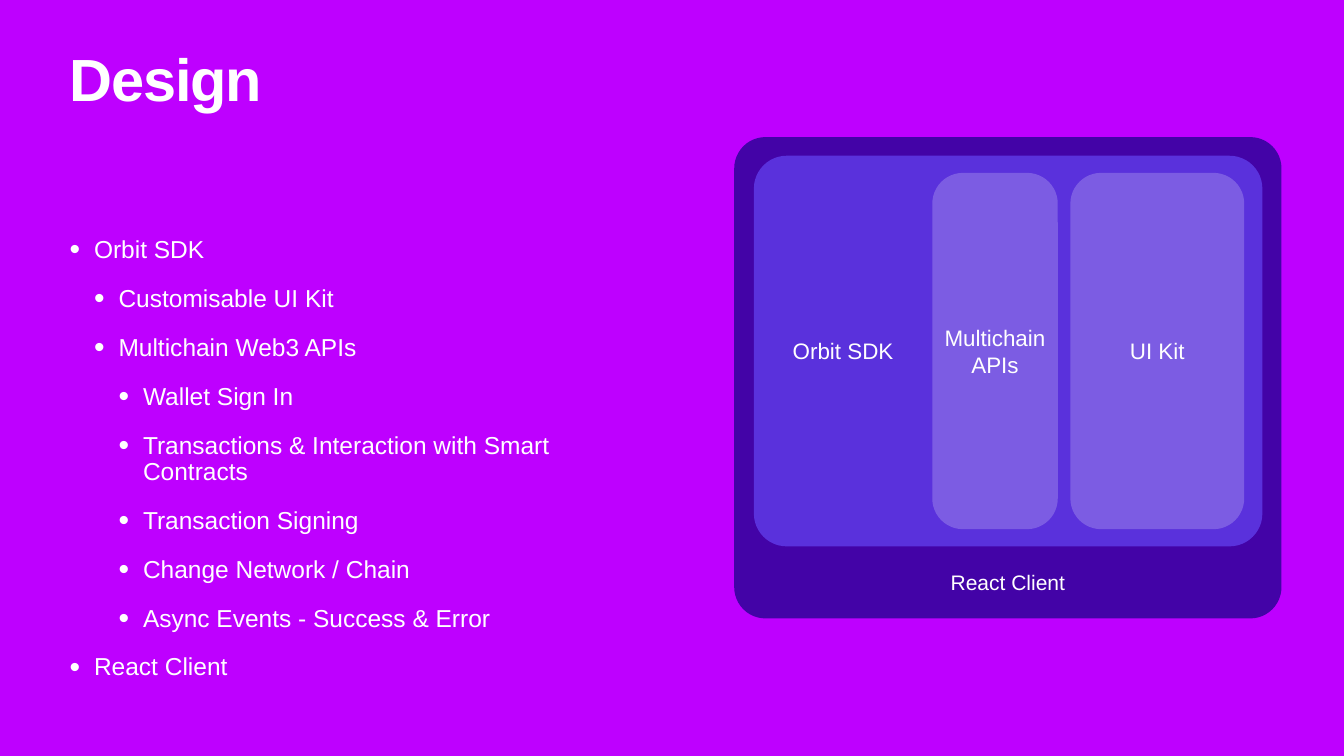
from dataclasses import dataclass

from lxml.etree import SubElement
from pptx import Presentation
from pptx.dml.color import RGBColor
from pptx.enum.shapes import MSO_SHAPE
from pptx.enum.text import MSO_ANCHOR, MSO_AUTO_SIZE, PP_ALIGN
from pptx.oxml.ns import qn
from pptx.util import Inches, Pt

COLORS = {
    "background": "BE00FF",
    "client": "4303A7",
    "sdk": "5A31DC",
    "white": "FFFFFF",
}
FONT = "Arial"
INSET = 0.06
INDENT = 0.486


@dataclass
class Box:
    left: float
    top: float
    width: float
    height: float

    def lengths(self) -> list:
        return [Inches(v) for v in (self.left, self.top, self.width, self.height)]


@dataclass
class Panel:
    box: Box
    color: str
    radius: float
    opacity: int = 100
    lines: tuple = ()


@dataclass
class Label:
    box: Box
    text: str
    size: int


BULLETS = [
    (0, "Orbit SDK"),
    (1, "Customisable UI Kit"),
    (1, "Multichain Web3 APIs"),
    (2, "Wallet Sign In"),
    (2, "Transactions & Interaction with Smart Contracts"),
    (2, "Transaction Signing"),
    (2, "Change Network / Chain"),
    (2, "Async Events - Success & Error"),
    (0, "React Client"),
]
PANELS = [
    Panel(Box(14.57, 2.72, 10.86, 9.55), "client", 0.62),
    Panel(Box(14.96, 3.09, 10.09, 7.75), "sdk", 0.65),
    Panel(Box(21.24, 3.43, 3.45, 7.07), "white", 0.61, 21, ("UI Kit",)),
    Panel(Box(18.5, 3.43, 2.49, 7.07), "white", 0.61, 21, ("Multichain", "APIs")),
]
LABELS = [
    Label(Box(18.8, 11.25, 2.4, 0.6), "React Client", 30),
    Label(Box(15.62, 6.64, 2.22, 0.64), "Orbit SDK", 32),
]


def rgb(name: str) -> RGBColor:
    return RGBColor.from_string(COLORS[name])


def set_frame(tf, anchor, wrap: bool) -> None:
    tf.auto_size = MSO_AUTO_SIZE.NONE
    tf.word_wrap = wrap
    tf.vertical_anchor = anchor
    tf.margin_left = tf.margin_right = Inches(INSET)
    tf.margin_top = tf.margin_bottom = Inches(INSET)


def add_run(p, text: str, size: int, bold: bool = False):
    r = p.add_run()
    r.text = text
    r.font.name = FONT
    r.font.size = Pt(size)
    r.font.bold = bold
    r.font.color.rgb = rgb("white")
    return r


def place(sp, box: Box):
    sp.left, sp.top, sp.width, sp.height = box.lengths()
    tf = sp.text_frame
    set_frame(tf, MSO_ANCHOR.TOP, True)
    return tf


def fill_title(sp) -> None:
    p = place(sp, Box(1.32, 1.04, 10.69, 1.57)).paragraphs[0]
    p.alignment = PP_ALIGN.LEFT
    p.line_spacing = 0.8
    r = add_run(p, "Design", 85, bold=True)
    r.font._element.set("spc", "-170")


def fill_bullets(sp) -> None:
    tf = place(sp, Box(1.32, 4.65, 10.69, 9.03))
    for i, (level, text) in enumerate(BULLETS):
        p = tf.paragraphs[0] if i == 0 else tf.add_paragraph()
        p.level = level
        p.line_spacing = 0.9
        p.space_before = Pt(32 if i else 0)
        pPr = p._p.get_or_add_pPr()
        pPr.set("marL", str(Inches(INDENT * (level + 1))))
        pPr.set("indent", str(-Inches(INDENT)))
        SubElement(pPr, qn("a:buSzPct"), val="123000")
        SubElement(pPr, qn("a:buChar"), char="•")
        add_run(p, text, 35)


def write_centred(tf, lines: tuple, size: int) -> None:
    set_frame(tf, MSO_ANCHOR.MIDDLE, False)
    for i, line in enumerate(lines):
        p = tf.paragraphs[0] if i == 0 else tf.add_paragraph()
        p.alignment = PP_ALIGN.CENTER
        add_run(p, line, size)


def add_panel(s, panel: Panel) -> None:
    sp = s.shapes.add_shape(MSO_SHAPE.ROUNDED_RECTANGLE, *panel.box.lengths())
    sp.adjustments[0] = panel.radius / min(panel.box.width, panel.box.height)
    sp.shadow.inherit = False
    sp.line.fill.background()
    sp.fill.solid()
    sp.fill.fore_color.rgb = rgb(panel.color)
    if panel.opacity < 100:
        color = sp._element.spPr.find(qn("a:solidFill"))[0]
        SubElement(color, qn("a:alpha"), val=str(panel.opacity * 1000))
    write_centred(sp.text_frame, panel.lines, 32)


def add_label(s, label: Label) -> None:
    sp = s.shapes.add_textbox(*label.box.lengths())
    write_centred(sp.text_frame, (label.text,), label.size)


def main() -> None:
    prs = Presentation()
    prs.slide_width, prs.slide_height = Inches(26.67), Inches(15)
    s = prs.slides.add_slide(prs.slide_layouts[1])
    s.background.fill.solid()
    s.background.fill.fore_color.rgb = rgb("background")

    # Title and feature list
    fill_title(s.shapes.title)
    fill_bullets(s.placeholders[1])

    # Nested architecture diagram
    for panel in PANELS:
        add_panel(s, panel)
    for label in LABELS:
        add_label(s, label)

    prs.save("out.pptx")


if __name__ == "__main__":
    main()
